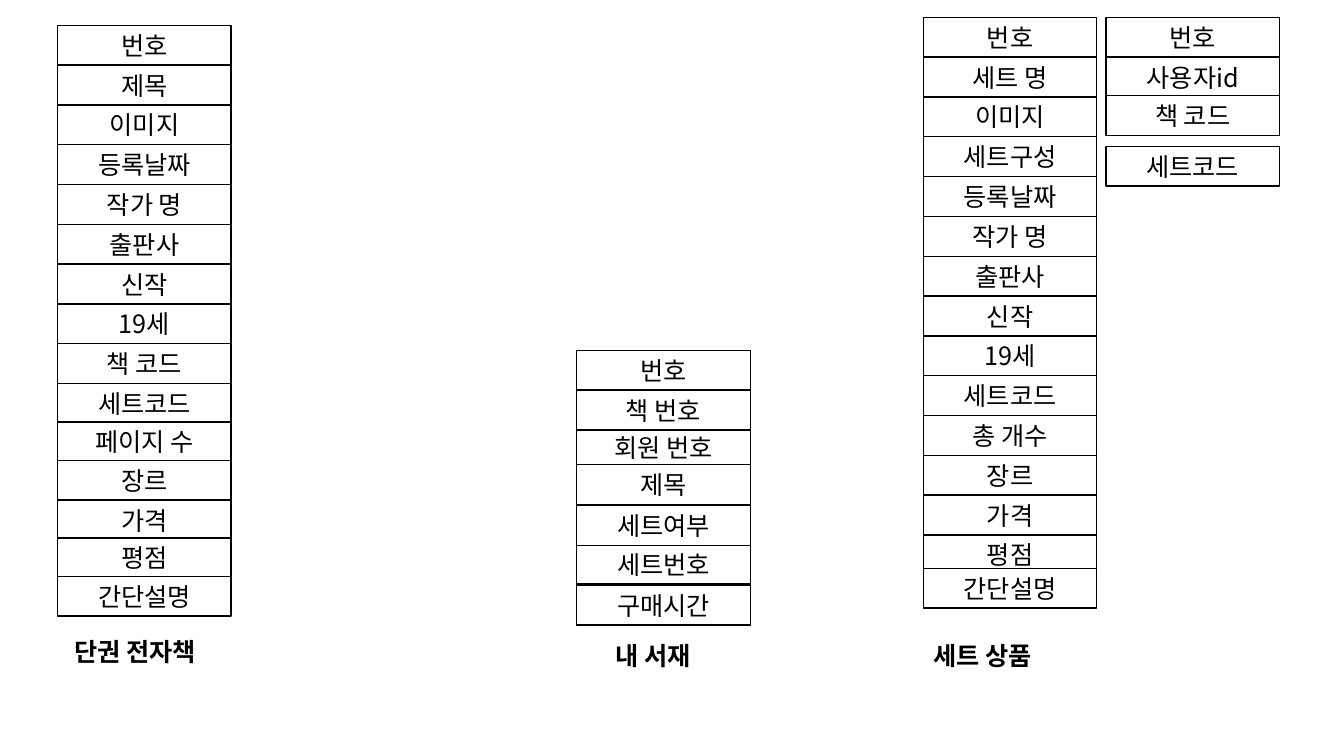
from lxml import etree
from pptx import Presentation
from pptx.dml.color import RGBColor
from pptx.enum.shapes import MSO_SHAPE
from pptx.enum.text import MSO_ANCHOR, PP_ALIGN
from pptx.oxml.ns import qn
from pptx.util import Pt

RECTANGLE = MSO_SHAPE.RECTANGLE
MIDDLE = MSO_ANCHOR.MIDDLE
LEFT, CENTER = PP_ALIGN.LEFT, PP_ALIGN.CENTER

BLACK = RGBColor(0x00, 0x00, 0x00)
WHITE = RGBColor(0xFF, 0xFF, 0xFF)

FIELD_W, FIELD_H = 124, 28.44

# Each entity: left, top, fields, steps that differ from the field height
# (keyed by field index), and indexes of fields lying behind their neighbours.
ENTITIES = [
    (41.2, 18,
     ["번호", "제목", "이미지", "등록날짜", "작가 명", "출판사", "신작", "19세",
      "책 코드", "세트코드", "페이지 수", "장르", "가격", "평점", "간단설명"],
     {10: 27.4, 11: 27.4, 13: 27, 14: 27.4}, ()),
    (659.5, 12.4,
     ["번호", "세트 명", "이미지", "세트구성", "등록날짜", "작가 명", "출판사", "신작",
      "19세", "세트코드", "총 개수", "장르", "가격", "평점", "간단설명"],
     {14: 23.8}, ()),
    (790, 12.4, ["번호", "사용자id", "책 코드", "세트코드"],
     {2: 27.6, 3: 36}, ()),
    (412, 250.3,
     ["번호", "책 번호", "회원 번호", "제목", "세트여부", "세트번호", "구매시간"],
     {2: 26.6, 3: 26.6, 4: 29.2, 5: 27.6, 6: 29.2}, (2, 5)),
]

CAPTIONS = [
    ("단권 전자책", 46.1, 451.3, 118),
    ("세트 상품", 659.5, 453.6, 93.6),
    ("내 서재", 432.7, 453.6, 96.5),
]


class Diagram:
    """Holds the text style and the slide being drawn."""

    font = "Noto Sans CJK KR"
    size = Pt(18)

    def __init__(self, slide):
        """Keep the slide to draw on."""
        self.s = slide

    def set_text(self, tf, text, align, bold=False):
        """Put one styled paragraph into a text frame."""
        tf.word_wrap = True
        p = tf.paragraphs[0]
        p.text = text
        p.alignment = align
        for r in p.runs:
            r.font.size = self.size
            r.font.bold = bold
            r.font.color.rgb = BLACK
            r.font.name = self.font
            ea = etree.SubElement(r._r.get_or_add_rPr(), qn("a:ea"))
            ea.set("typeface", self.font)

    def field(self, text, left, top):
        """Draw one outlined field box."""
        sp = self.s.shapes.add_shape(
            RECTANGLE, Pt(left), Pt(top), Pt(FIELD_W), Pt(FIELD_H))
        sp.shadow.inherit = False
        sp.fill.solid()
        sp.fill.fore_color.rgb = WHITE
        sp.line.color.rgb = BLACK
        sp.line.width = Pt(1)
        sp.text_frame.vertical_anchor = MIDDLE
        self.set_text(sp.text_frame, text, CENTER)

    def entity(self, left, top, fields, steps, behind):
        """Stack the fields of an entity, drawing those behind first."""
        tops = [top]
        for i in range(1, len(fields)):
            tops.append(tops[-1] + steps.get(i, FIELD_H))
        for i in sorted(range(len(fields)), key=lambda i: i not in behind):
            self.field(fields[i], left, tops[i])

    def caption(self, text, left, top, width):
        """Add the bold name of an entity."""
        sp = self.s.shapes.add_textbox(Pt(left), Pt(top), Pt(width), Pt(29))
        self.set_text(sp.text_frame, text, LEFT, bold=True)


def main():
    """Build the slide and save it."""
    prs = Presentation()
    prs.slide_width, prs.slide_height = Pt(960), Pt(540)
    diagram = Diagram(prs.slides.add_slide(prs.slide_layouts[6]))
    for entity in ENTITIES:
        diagram.entity(*entity)
    for caption in CAPTIONS:
        diagram.caption(*caption)
    prs.save("out.pptx")


main()
